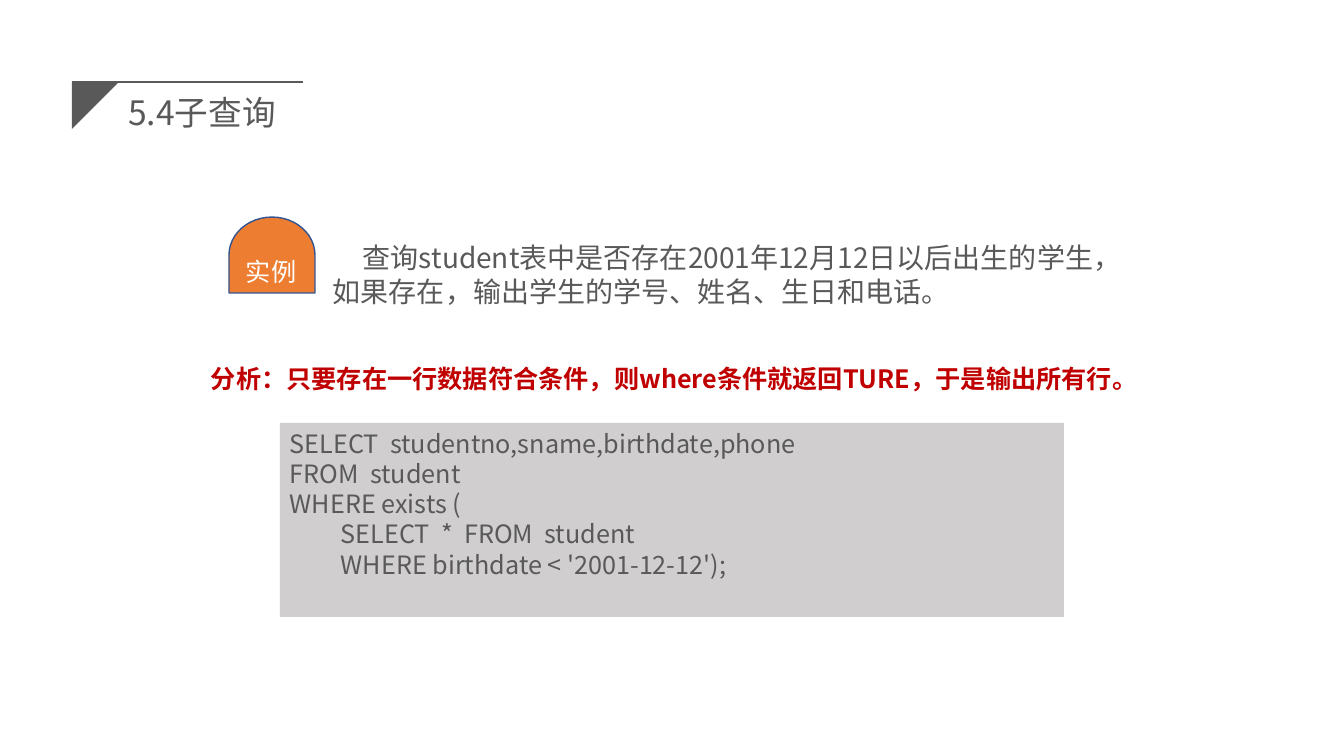
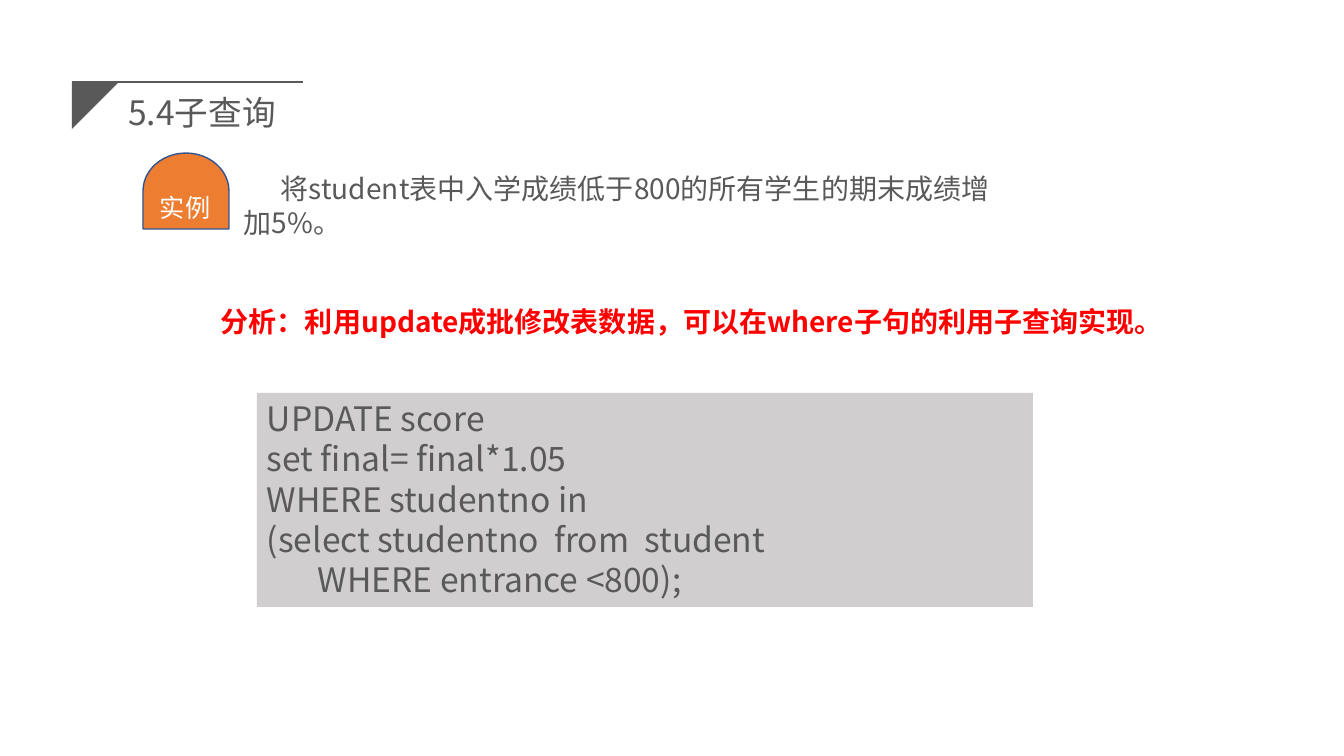
import pptx
import pptx.dml.color
import pptx.enum.shapes
import pptx.enum.text
import pptx.oxml.ns
import pptx.util
import lxml.etree

SCALE = 914400 / 100.8
FONT = "Noto Sans CJK SC"
GRAY = "595959"
PANEL = "D0CECE"
ORANGE = "ED7D31"
NAVY = "325491"
WHITE = "FFFFFF"
TITLE = "5.4子查询"
BADGE = "实例"
TAB = 51
SHAPES = pptx.enum.shapes.MSO_SHAPE
ALIGN = pptx.enum.text.PP_ALIGN
ANCHOR = pptx.enum.text.MSO_ANCHOR

EXAMPLES = [
    {
        "badge": (229, 217),
        "question": (323, 236, 803, 78),
        "question_text": "查询student表中是否存在2001年12月12日以后出生的学生，如果存在，输出学生的学号、姓名、生日和电话。",
        "question_indent": 30,
        "analysis": (201, 358, 1000, 40),
        "analysis_text": "分析：只要存在一行数据符合条件，则where条件就返回TURE，于是输出所有行。",
        "analysis_size": 18,
        "analysis_color": "C00000",
        "code": (280, 423, 784, 194),
        "code_lines": [
            (0, "SELECT  studentno,sname,birthdate,phone"),
            (0, "FROM  student"),
            (0, "WHERE exists ("),
            (1, "SELECT  *  FROM  student"),
            (1, "WHERE birthdate < '2001-12-12');"),
        ],
        "code_size": 18,
    },
    {
        "badge": (143, 153),
        "question": (234, 167, 791, 78),
        "question_text": "将student表中入学成绩低于800的所有学生的期末成绩增加5%。",
        "question_indent": 37,
        "analysis": (211, 300, 1000, 44),
        "analysis_text": "分析：利用update成批修改表数据，可以在where子句的利用子查询实现。",
        "analysis_size": 20,
        "analysis_color": "FF0000",
        "code": (257, 393, 776, 214),
        "code_lines": [
            (0, "UPDATE score"),
            (0, "set final= final*1.05"),
            (0, "WHERE studentno in"),
            (0, "(select studentno  from  student"),
            (1, "WHERE entrance <800);"),
        ],
        "code_size": 24,
    },
]


def px(length):
    """Turn a length in px into EMU."""
    return pptx.util.Emu(round(length * SCALE))


def color(value):
    """Turn a hex string into a colour."""
    return pptx.dml.color.RGBColor.from_string(value)


def paint(shape, fill, line=None):
    """Give a shape its fill and outline, without a shadow."""
    shape.shadow.inherit = False
    shape.fill.solid()
    shape.fill.fore_color.rgb = color(fill)
    if line:
        shape.line.color.rgb = color(line)
        shape.line.width = pptx.util.Pt(1)
    else:
        shape.line.fill.background()


def write(shape, lines, size, ink, bold=False, align=ALIGN.LEFT, anchor=ANCHOR.TOP):
    """Write (first-line indent, text) pairs as paragraphs."""
    frame = shape.text_frame
    frame.word_wrap = True
    frame.vertical_anchor = anchor
    frame.text = "\n".join(text for _, text in lines)
    for paragraph, (indent, _) in zip(frame.paragraphs, lines):
        paragraph.alignment = align
        paragraph.line_spacing = pptx.util.Pt(size * 1.2)
        if indent:
            paragraph._p.get_or_add_pPr().set("indent", str(px(indent)))
        for run in paragraph.runs:
            run.font.size = pptx.util.Pt(size)
            run.font.name = FONT
            run.font.bold = bold
            run.font.color.rgb = color(ink)
            properties = run._r.get_or_add_rPr()
            east_asian = lxml.etree.SubElement(properties, pptx.oxml.ns.qn("a:ea"))
            east_asian.set("typeface", FONT)


def add_text(slide, box, lines, size, ink, **style):
    """Add a text box at a box given in px."""
    write(slide.shapes.add_textbox(*map(px, box)), lines, size, ink, **style)


def add_title(slide, left, top):
    """Add the section title with its corner triangle and rule."""
    builder = slide.shapes.build_freeform(px(left), px(top), scale=1.0)
    builder.add_line_segments([(px(left + 47), px(top)), (px(left), px(top + 47))], close=True)
    paint(builder.convert_to_shape(), GRAY)
    rule = slide.shapes.add_connector(
        pptx.enum.shapes.MSO_CONNECTOR.STRAIGHT, px(left), px(top), px(left + 231), px(top))
    rule.line.color.rgb = color(GRAY)
    rule.line.width = pptx.util.Pt(1.75)
    lxml.etree.SubElement(rule._element.spPr, pptx.oxml.ns.qn("a:effectLst"))
    add_text(slide, (left + 12, top - 12, 236, 85), [(0, TITLE)], 24, GRAY,
             align=ALIGN.CENTER, anchor=ANCHOR.MIDDLE)


def add_badge(slide, left, top):
    """Add the arched example badge with its label."""
    arch = slide.shapes.add_shape(
        SHAPES.FLOWCHART_DELAY, px(left + 5), px(top - 5), px(76), px(86))
    arch.rotation = 270
    paint(arch, ORANGE, NAVY)
    add_text(slide, (left + 7, top + 34, 94, 40), [(0, BADGE)], 18, WHITE)


def add_code(slide, box, lines, size):
    """Add a gray panel of code whose lines carry an indent level."""
    panel = slide.shapes.add_shape(SHAPES.RECTANGLE, *map(px, box))
    paint(panel, PANEL)
    write(panel, [(level * TAB, text) for level, text in lines], size, GRAY)


def add_example_slide(presentation, example):
    """Add a slide with a question, its analysis and its code."""
    slide = presentation.slides.add_slide(presentation.slide_layouts[6])
    add_title(slide, 72, 82)
    add_badge(slide, *example["badge"])
    add_text(slide, example["question"],
             [(example["question_indent"], example["question_text"])], 20, GRAY)
    add_text(slide, example["analysis"], [(0, example["analysis_text"])],
             example["analysis_size"], example["analysis_color"], bold=True)
    add_code(slide, example["code"], example["code_lines"], example["code_size"])


def main():
    """Build and save the presentation."""
    presentation = pptx.Presentation()
    presentation.slide_width = px(1344)
    presentation.slide_height = px(756)
    for example in EXAMPLES:
        add_example_slide(presentation, example)
    presentation.save("out.pptx")


if __name__ == "__main__":
    main()
